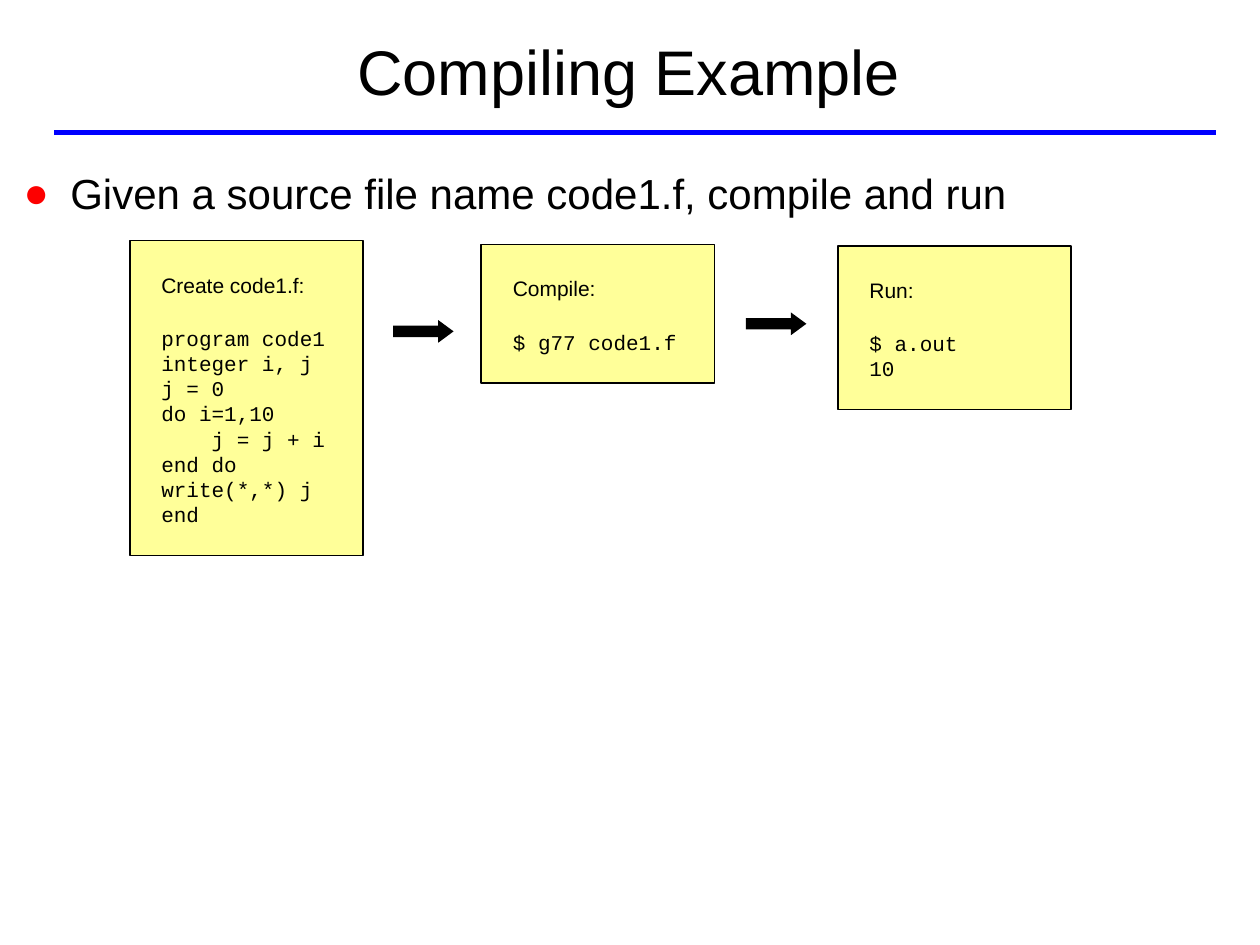
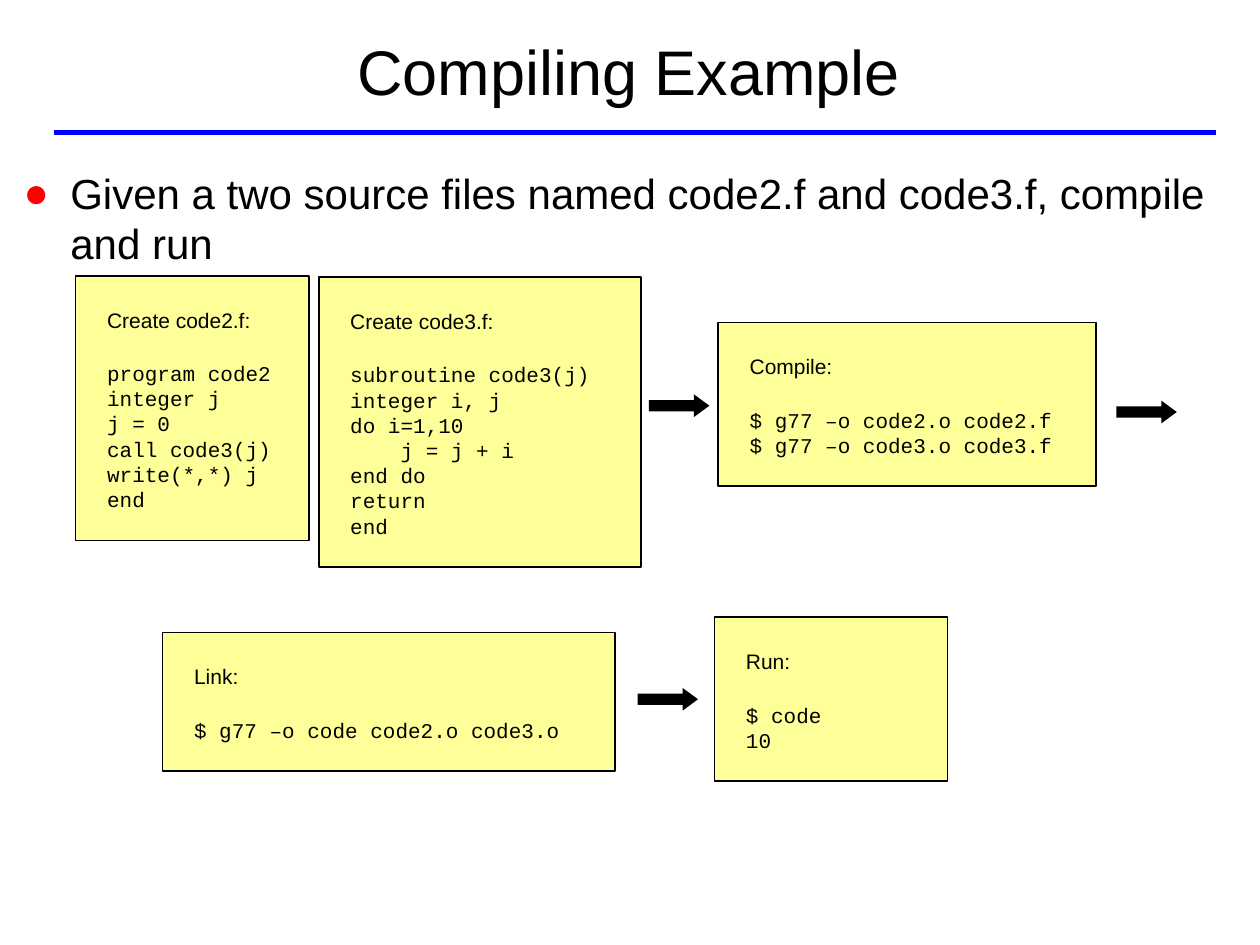
from lxml import etree
from pptx import Presentation
from pptx.dml.color import RGBColor
from pptx.enum.shapes import MSO_CONNECTOR, MSO_SHAPE
from pptx.enum.text import MSO_ANCHOR, PP_ALIGN
from pptx.oxml.ns import qn
from pptx.util import Inches, Pt

STRAIGHT = MSO_CONNECTOR.STRAIGHT
RECTANGLE = MSO_SHAPE.RECTANGLE
RIGHT_ARROW = MSO_SHAPE.RIGHT_ARROW
TOP, MIDDLE = MSO_ANCHOR.TOP, MSO_ANCHOR.MIDDLE
LEFT, CENTER = PP_ALIGN.LEFT, PP_ALIGN.CENTER

COLORS = {"text": "000000", "rule": "0000FF", "bullet": "FD0000", "box": "FFFF99"}
TEXT_FONT, CODE_FONT = "Arial", "Courier New"
BOX_INSET = 0.25
LINE_HEIGHT = 0.2
CODE_GAP = 16
TITLE = "Compiling Example"

# Each box: left, top, width, heading, code lines; each arrow: left, top
SLIDES = [
    {
        "statement": "Given a source file name code1.f, compile and run",
        "boxes": [
            (1.03, 1.91, 1.85, "Create code1.f:",
             ["program code1", "integer i, j", "j = 0", "do i=1,10",
              "    j = j + i", "end do", "write(*,*) j", "end"]),
            (3.82, 1.94, 1.85, "Compile:", ["$ g77 code1.f"]),
            (6.65, 1.95, 1.85, "Run:", ["$ a.out", "10"]),
        ],
        "arrows": [(3.12, 2.54), (5.92, 2.48)],
    },
    {
        "statement": "Given a two source files named code2.f and code3.f, "
                     "compile and run",
        "boxes": [
            (0.6, 2.19, 1.85, "Create code2.f:",
             ["program code2", "integer j", "j = 0", "call code3(j)",
              "write(*,*) j", "end"]),
            (2.53, 2.2, 2.56, "Create code3.f:",
             ["subroutine code3(j)", "integer i, j", "do i=1,10",
              "    j = j + i", "end do", "return", "end"]),
            (5.7, 2.56, 3, "Compile:",
             ["$ g77 –o code2.o code2.f", "$ g77 –o code3.o code3.f"]),
            (1.29, 5.02, 3.59, "Link:", ["$ g77 –o code code2.o code3.o"]),
            (5.67, 4.9, 1.85, "Run:", ["$ code", "10"]),
        ],
        "arrows": [(5.15, 3.13), (8.86, 3.18), (5.06, 5.46)],
    },
]


def color(name):
    return RGBColor.from_string(COLORS[name])


def write_paragraph(paragraph, text, size, font_name=TEXT_FONT, alignment=LEFT):
    paragraph.text = text
    paragraph.alignment = alignment
    for run in paragraph.runs:
        run.font.size = Pt(size)
        run.font.name = font_name
        run.font.color.rgb = color("text")


def add_title(slide, text):
    title = slide.shapes.title
    title.left, title.top = Inches(0.77), Inches(0.14)
    title.width, title.height = Inches(8.44), Inches(0.83)
    title.text_frame.vertical_anchor = MIDDLE
    write_paragraph(title.text_frame.paragraphs[0], text, 36, alignment=CENTER)


def add_rule(slide):
    rule = slide.shapes.add_connector(
        STRAIGHT, Inches(0.43), Inches(1.05), Inches(9.65), Inches(1.05))
    rule.line.color.rgb = color("rule")
    rule.line.width = Pt(3)
    etree.SubElement(rule._element.spPr, qn("a:effectLst"))


def add_statement(slide, text):
    box = slide.shapes.add_textbox(
        Inches(0.08), Inches(1.28), Inches(9.65), Inches(5.57))
    box.text_frame.word_wrap = True
    paragraph = box.text_frame.paragraphs[0]
    paragraph.line_spacing = Pt(28.8)

    # Hanging red bullet
    properties = paragraph._p.get_or_add_pPr()
    properties.set("marL", str(Inches(0.38)))
    properties.set("indent", str(Inches(-0.37)))
    bullet_color = etree.SubElement(properties, qn("a:buClr"))
    etree.SubElement(bullet_color, qn("a:srgbClr"), val=COLORS["bullet"])
    etree.SubElement(properties, qn("a:buFont"), typeface=TEXT_FONT)
    etree.SubElement(properties, qn("a:buChar"), char="●")
    write_paragraph(paragraph, text, 24)


def add_filled_shape(slide, kind, left, top, width, height, fill):
    shape = slide.shapes.add_shape(
        kind, Inches(left), Inches(top), Inches(width), Inches(height))
    shape.shadow.inherit = False
    shape.fill.solid()
    shape.fill.fore_color.rgb = color(fill)
    return shape


def add_code_box(slide, left, top, width, heading, code_lines):
    # Room for the heading, the gap below it and the code
    height = 2 * BOX_INSET + LINE_HEIGHT * (len(code_lines) + 2)
    box = add_filled_shape(slide, RECTANGLE, left, top, width, height, "box")
    box.line.color.rgb = color("text")
    box.line.width = Pt(1)

    frame = box.text_frame
    frame.word_wrap = True
    frame.vertical_anchor = TOP
    frame.margin_left = frame.margin_right = Inches(BOX_INSET)
    frame.margin_top = frame.margin_bottom = Inches(BOX_INSET)
    write_paragraph(frame.paragraphs[0], heading, 12)
    for code_line in code_lines:
        write_paragraph(frame.add_paragraph(), code_line, 12, CODE_FONT)
    for paragraph in frame.paragraphs:
        paragraph.line_spacing = Inches(LINE_HEIGHT)
    frame.paragraphs[1].space_before = Pt(CODE_GAP)


def add_arrow(slide, left, top):
    arrow = add_filled_shape(slide, RIGHT_ARROW, left, top, 0.48, 0.18, "text")
    arrow.line.fill.background()
    arrow.adjustments[0] = 0.5
    arrow.adjustments[1] = 0.68


def main():
    presentation = Presentation()
    presentation.slide_width = Inches(10)
    presentation.slide_height = Inches(7.5)
    title_only = presentation.slide_layouts[5]

    for content in SLIDES:
        slide = presentation.slides.add_slide(title_only)
        add_rule(slide)
        add_title(slide, TITLE)
        add_statement(slide, content["statement"])
        for box in content["boxes"]:
            add_code_box(slide, *box)
        for arrow in content["arrows"]:
            add_arrow(slide, *arrow)

    presentation.save("out.pptx")


if __name__ == "__main__":
    main()
